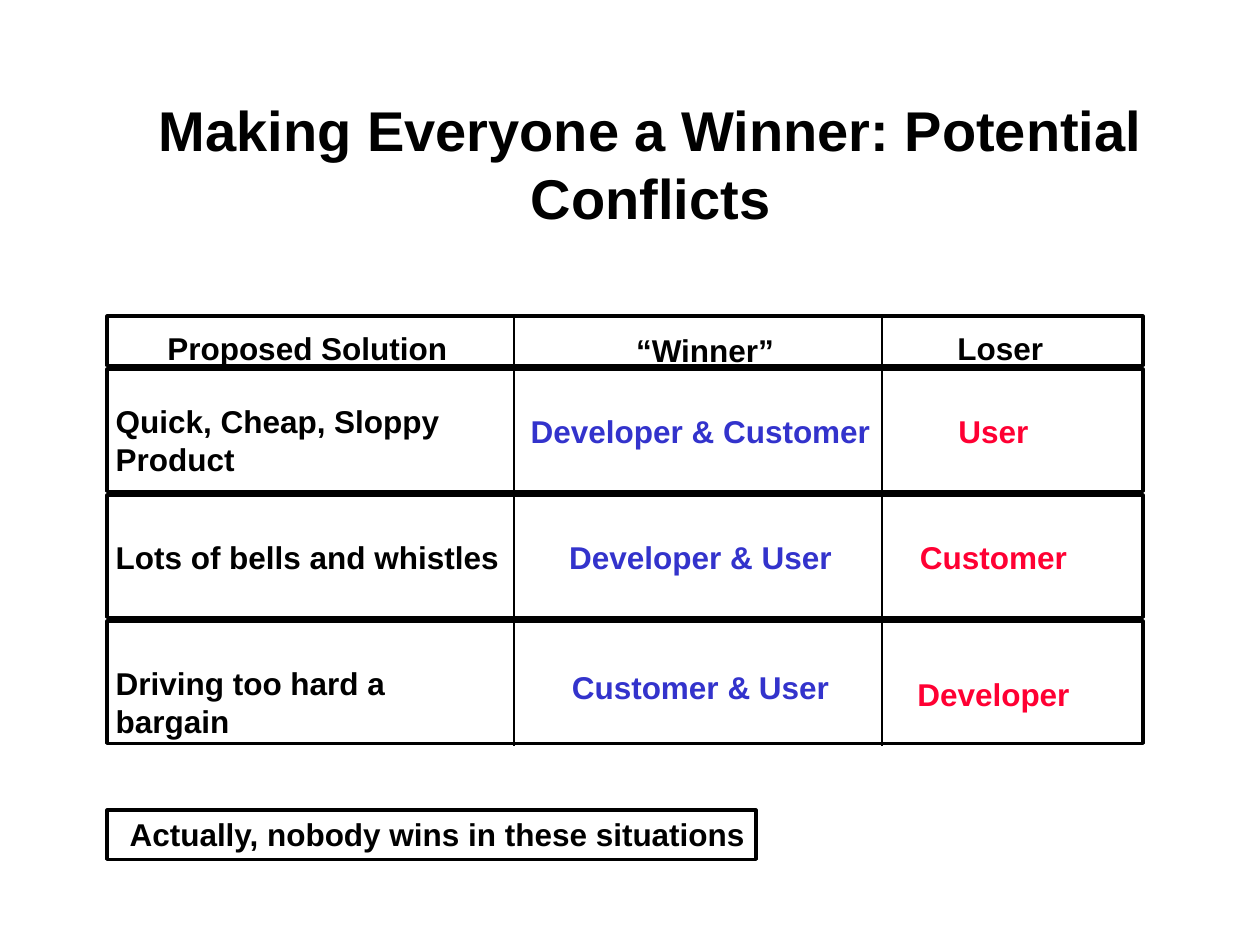
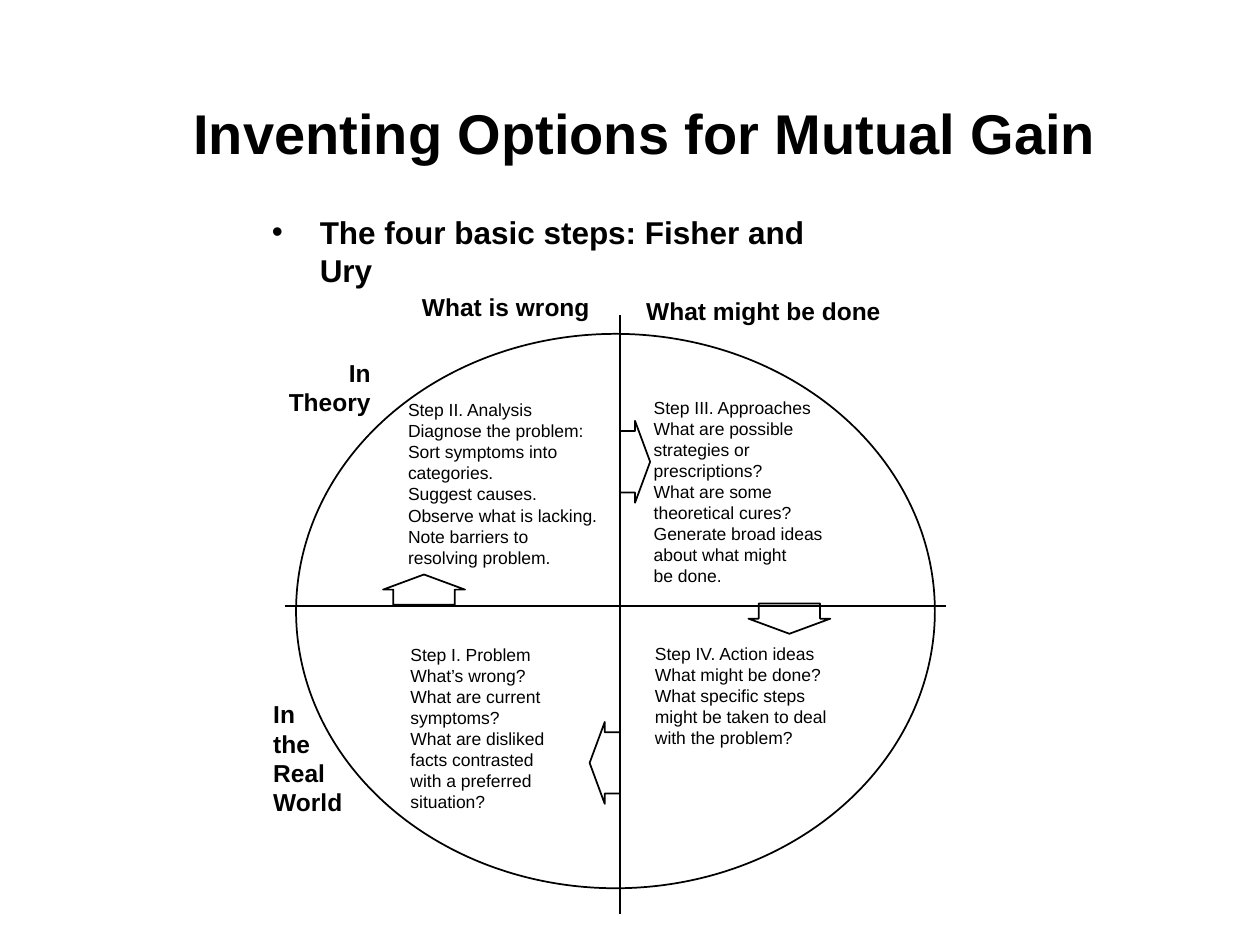
from dataclasses import dataclass

from lxml import etree
from pptx import Presentation
from pptx.dml.color import RGBColor
from pptx.enum.shapes import MSO_CONNECTOR, MSO_SHAPE
from pptx.enum.text import MSO_ANCHOR, MSO_AUTO_SIZE, PP_ALIGN
from pptx.oxml.ns import qn
from pptx.slide import Slide
from pptx.util import Inches, Pt

BLACK = "000000"
WINNER_BLUE = "3333CC"
LOSER_RED = "FF0033"
FONT = "Arial"
LEFT = PP_ALIGN.LEFT
CENTER = PP_ALIGN.CENTER
RIGHT = PP_ALIGN.RIGHT
MIDDLE = MSO_ANCHOR.MIDDLE
FIT_TEXT = MSO_AUTO_SIZE.SHAPE_TO_FIT_TEXT
STRAIGHT = MSO_CONNECTOR.STRAIGHT
RECTANGLE = MSO_SHAPE.RECTANGLE
OVAL = MSO_SHAPE.OVAL

TABLE_LEFT, TABLE_TOP, TABLE_WIDTH = 0.85, 2.51, 8.22
HEADER_HEIGHT = 0.39
FIRST_ROW_TOP, ROW_PITCH, ROW_HEIGHT = 2.93, 1.0, 0.97
TABLE_BOTTOM = 5.92
AXIS_X, AXIS_Y = 4.92, 4.81
ARROW_LENGTH, ARROW_BREADTH = 0.24, 0.65


@dataclass(frozen=True)
class Label:
    text: str
    left: float
    top: float
    width: float
    size: int = 18
    color: str = BLACK
    bold: bool = True
    align: PP_ALIGN = LEFT


@dataclass(frozen=True)
class Outline:
    kind: MSO_SHAPE
    left: float
    top: float
    width: float
    height: float
    weight: float = 1


@dataclass(frozen=True)
class Line:
    start_x: float
    start_y: float
    end_x: float
    end_y: float


@dataclass(frozen=True)
class ConflictRow:
    solution: str
    winner: str
    loser: str
    solution_top: float
    winner_top: float
    loser_top: float


def rgb(color: str) -> RGBColor:
    return RGBColor.from_string(color)


def add_label(slide: Slide, label: Label):
    lines = label.text.count("\n") + 1
    height = lines * label.size * 1.2 / 72 + 0.1
    shape = slide.shapes.add_textbox(
        Inches(label.left), Inches(label.top), Inches(label.width), Inches(height)
    )
    text_frame = shape.text_frame
    text_frame.word_wrap = False
    text_frame.auto_size = FIT_TEXT
    text_frame.text = label.text
    for paragraph in text_frame.paragraphs:
        paragraph.alignment = label.align
        for run in paragraph.runs:
            run.font.name = FONT
            run.font.size = Pt(label.size)
            run.font.bold = label.bold
            run.font.color.rgb = rgb(label.color)
    return shape


def add_title(slide: Slide, label: Label, height: float, spacing: float) -> None:
    shape = add_label(slide, label)
    text_frame = shape.text_frame
    text_frame.auto_size = MSO_AUTO_SIZE.NONE
    text_frame.word_wrap = True
    text_frame.vertical_anchor = MIDDLE
    text_frame.paragraphs[0].line_spacing = spacing
    shape.height = Inches(height)


def add_bullet(slide: Slide, label: Label, indent: float) -> None:
    shape = add_label(slide, label)
    shape.text_frame.word_wrap = True
    properties = shape.text_frame.paragraphs[0]._p.get_or_add_pPr()
    properties.set("marL", str(Inches(indent)))
    properties.set("indent", str(-Inches(indent)))
    etree.SubElement(properties, qn("a:buFont"), typeface=FONT)
    etree.SubElement(properties, qn("a:buChar"), char="•")


def add_outline(slide: Slide, outline: Outline) -> None:
    shape = slide.shapes.add_shape(
        outline.kind,
        Inches(outline.left),
        Inches(outline.top),
        Inches(outline.width),
        Inches(outline.height),
    )
    shape.shadow.inherit = False
    shape.fill.background()
    shape.line.color.rgb = rgb(BLACK)
    shape.line.width = Pt(outline.weight)
    if len(shape.adjustments) == 2:
        shape.adjustments[0] = 0.75
        shape.adjustments[1] = 0.5


def add_line(slide: Slide, line: Line) -> None:
    connector = slide.shapes.add_connector(
        STRAIGHT,
        Inches(line.start_x),
        Inches(line.start_y),
        Inches(line.end_x),
        Inches(line.end_y),
    )
    connector.line.color.rgb = rgb(BLACK)
    connector.line.width = Pt(1)
    etree.SubElement(connector._element.spPr, qn("a:effectLst"))


def build_conflicts(slide: Slide) -> None:
    title = Label("Making Everyone a Winner: Potential Conflicts", 0.75, 0.67, 8.83, 32, align=CENTER)
    add_title(slide, title, 1.25, 1.0)

    add_outline(slide, Outline(RECTANGLE, TABLE_LEFT, TABLE_TOP, TABLE_WIDTH, HEADER_HEIGHT, 2))
    for header in (
        Label("Proposed Solution", 1.23, 2.56, 2.42),
        Label("“Winner”", 4.95, 2.58, 1.3),
        Label("Loser", 7.5, 2.56, 0.88),
    ):
        add_label(slide, header)

    rows = (
        ConflictRow("Quick, Cheap, Sloppy\nProduct", "Developer & Customer", "User", 3.14, 3.22, 3.22),
        ConflictRow("Lots of bells and whistles", "Developer & User", "Customer", 4.22, 4.22, 4.22),
        ConflictRow("Driving too hard a bargain", "Customer & User", "Developer", 5.22, 5.25, 5.31),
    )
    for index, row in enumerate(rows):
        top = FIRST_ROW_TOP + index * ROW_PITCH
        add_outline(slide, Outline(RECTANGLE, TABLE_LEFT, top, TABLE_WIDTH, ROW_HEIGHT, 2))
        add_label(slide, Label(row.solution, 0.82, row.solution_top, 3.3))
        add_label(slide, Label(row.winner, 4.11, row.winner_top, 2.9, color=WINNER_BLUE, align=CENTER))
        add_label(slide, Label(row.loser, 7.18, row.loser_top, 1.41, color=LOSER_RED, align=CENTER))
    for divider_x in (4.08, 7.0):
        add_line(slide, Line(divider_x, TABLE_TOP, divider_x, TABLE_BOTTOM))

    add_outline(slide, Outline(RECTANGLE, TABLE_LEFT, 6.43, 5.15, HEADER_HEIGHT, 2))
    add_label(slide, Label("Actually, nobody wins in these situations", 0.93, 6.42, 5.11))


def build_options(slide: Slide) -> None:
    title = Label("Inventing Options for Mutual Gain", 1.08, 0.67, 8.08, 32, align=CENTER)
    add_title(slide, title, 0.83, 0.9)
    add_bullet(slide, Label("The four basic steps: Fisher and Ury", 2.06, 1.64, 4.76), 0.38)

    add_outline(slide, Outline(OVAL, 2.35, 2.65, 5.07, 4.4))
    add_line(slide, Line(AXIS_X, 2.5, AXIS_X, 7.25))
    add_line(slide, Line(2.26, AXIS_Y, 7.51, AXIS_Y))
    for arrow in (
        Outline(MSO_SHAPE.UP_ARROW, 3.04, 4.56, ARROW_BREADTH, ARROW_LENGTH),
        Outline(MSO_SHAPE.RIGHT_ARROW, AXIS_X, 3.34, ARROW_LENGTH, ARROW_BREADTH),
        Outline(MSO_SHAPE.LEFT_ARROW, AXIS_X - ARROW_LENGTH, 5.73, ARROW_LENGTH, ARROW_BREADTH),
        Outline(MSO_SHAPE.DOWN_ARROW, 5.94, 4.79, ARROW_BREADTH, ARROW_LENGTH),
    ):
        add_outline(slide, arrow)

    for heading in (
        Label("What is wrong", 3.25, 2.27, 1.53, 14),
        Label("What might be done", 5.03, 2.3, 2.07, 14),
        Label("In\nTheory", 2.19, 2.79, 0.85, 14, align=RIGHT),
        Label("In\nthe\nReal\nWorld", 2.07, 5.5, 0.75, 14),
    ):
        add_label(slide, heading)

    analysis = (
        "Step II. Analysis\nDiagnose the problem:\nSort symptoms into\ncategories.\n"
        "Suggest causes.\nObserve what is lacking.\nNote barriers to\nresolving problem."
    )
    approaches = (
        "Step III. Approaches\nWhat are possible\nstrategies or\nprescriptions?\n"
        "What are some\ntheoretical cures?\nGenerate broad ideas\nabout what might\nbe done."
    )
    problem = (
        "Step I. Problem\nWhat’s wrong?\nWhat are current\nsymptoms?\n"
        "What are disliked\nfacts contrasted\nwith a preferred\nsituation?"
    )
    actions = (
        "Step IV. Action ideas\nWhat might be done?\nWhat specific steps\n"
        "might be taken to deal\nwith the problem?"
    )
    for step in (
        Label(analysis, 3.14, 3.12, 1.7, 10, bold=False),
        Label(approaches, 5.09, 3.1, 1.54, 10, bold=False),
        Label(problem, 3.16, 5.06, 1.26, 10, bold=False),
        Label(actions, 5.1, 5.05, 1.56, 10, bold=False),
    ):
        add_label(slide, step)


def main() -> None:
    presentation = Presentation()
    presentation.slide_width = Inches(10)
    presentation.slide_height = Inches(7.5)
    blank_layout = presentation.slide_layouts[6]
    for build in (build_conflicts, build_options):
        build(presentation.slides.add_slide(blank_layout))
    presentation.save("out.pptx")


if __name__ == "__main__":
    main()
